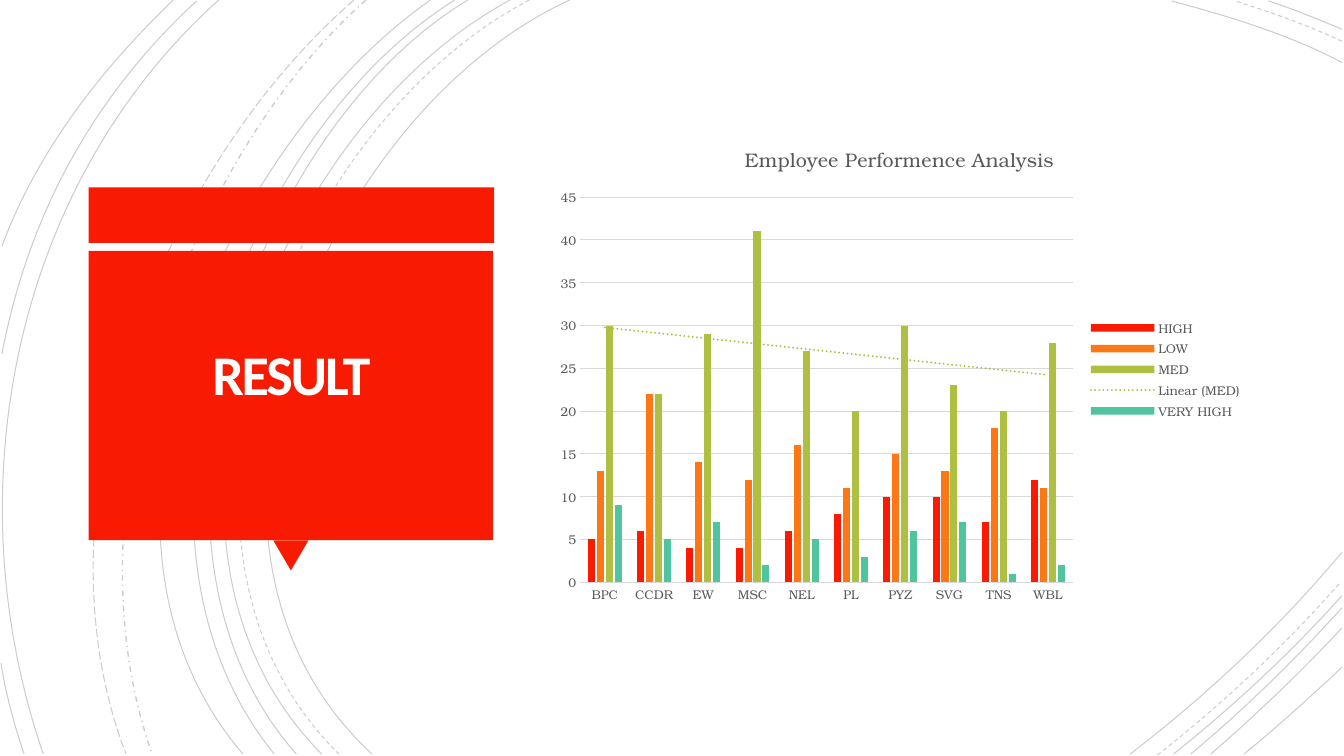
from dataclasses import dataclass

from lxml.etree import SubElement
from pptx import Presentation
from pptx.chart.data import CategoryChartData
from pptx.dml.color import RGBColor
from pptx.enum.chart import XL_CHART_TYPE, XL_LEGEND_POSITION, XL_TICK_MARK
from pptx.enum.dml import MSO_LINE
from pptx.enum.shapes import MSO_SHAPE
from pptx.enum.text import MSO_ANCHOR, MSO_AUTO_SIZE, PP_ALIGN
from pptx.oxml import parse_xml
from pptx.oxml.ns import nsdecls, qn
from pptx.util import Inches, Pt

COLORS = {
    "arc": "000000", "panel": "F81B02", "title": "FFFFFF",
    "text": "595959", "grid": "D9D9D9",
    "HIGH": "F81B02", "LOW": "FC7715", "MED": "AFBF41", "VERY HIGH": "50C49F",
}
CHART_FONT = "TeX Gyre Bonum"


@dataclass
class Arc:
    points: list[tuple[float, float]]
    dash: MSO_LINE = MSO_LINE.SOLID
    width: float = 0.75


@dataclass
class Block:
    kind: MSO_SHAPE
    left: float
    top: float
    width: float
    height: float
    rotation: int = 0


ARCS = [
    Arc([(5.65, 0), (3.15, 1.15), (1.43, 5.4), (3.69, 7.48)]),
    Arc([(13.31, 0.62), (12.78, 0.34), (12.18, 0.16), (11.62, 0.01)]),
    Arc([(11.21, 7.48), (11.97, 6.9), (12.69, 6.22), (13.31, 5.48)]),
    Arc([(5.25, 0), (2.85, 1.25), (1.23, 5.37), (3.36, 7.48)], MSO_LINE.DASH),
    Arc([(13.31, 0.41), (12.97, 0.25), (12.6, 0.12), (12.25, 0.01)], MSO_LINE.DASH),
    Arc([(11.48, 7.49), (12.13, 6.98), (12.75, 6.4), (13.3, 5.77)], MSO_LINE.DASH),
    Arc([(5.06, 0), (2.7, 1.27), (1.1, 5.37), (3.19, 7.48)]),
    Arc([(13.31, 0.29), (13.07, 0.19), (12.83, 0.09), (12.58, 0.01)]),
    Arc([(11.64, 7.48), (12.23, 7.01), (12.8, 6.48), (13.31, 5.91)]),
    Arc([(4.64, 0), (2.44, 1.33), (1.1, 5.41), (2.94, 7.48)]),
    Arc([(11.81, 7.48), (12.34, 7.04), (12.84, 6.55), (13.31, 6.03)]),
    Arc([(4.51, 0), (2.31, 1.38), (0.97, 5.33), (2.72, 7.48)]),
    Arc([(12.01, 7.48), (12.46, 7.09), (12.9, 6.67), (13.31, 6.23)]),
    Arc([(4.27, 0), (2.17, 1.47), (0.53, 5.29), (2.41, 7.48)]),
    Arc([(12.34, 7.48), (12.67, 7.21), (12.99, 6.92), (13.31, 6.62)]),
    Arc([(3.63, 0), (1.76, 1.66), (0.65, 5.09), (1.51, 7.48)], MSO_LINE.DASH_DOT, 1),
    Arc([(3.51, 0), (1.57, 1.69), (0.29, 4.99), (1.25, 7.48)], MSO_LINE.LONG_DASH),
    Arc([(2.17, 0), (0.11, 1.85), (-0.46, 4.9), (0.43, 7.48)]),
    Arc([(1.95, 0.01), (0.92, 0.96), (0.28, 2.14), (0.02, 3.51)]),
    Arc([(0.01, 6.58), (0.06, 6.89), (0.14, 7.19), (0.24, 7.48)]),
    Arc([(1.72, 0), (1, 0.69), (0.37, 1.5), (0.02, 2.44)]),
]
BLOCKS = [
    Block(MSO_SHAPE.RECTANGLE, 0.88, 1.86, 4.02, 0.55),
    Block(MSO_SHAPE.ISOSCELES_TRIANGLE, 2.71, 5.36, 0.35, 0.3, 180),
    Block(MSO_SHAPE.RECTANGLE, 0.88, 2.49, 4.01, 2.87),
]
CATEGORIES = ["BPC", "CCDR", "EW", "MSC", "NEL", "PL", "PYZ", "SVG", "TNS", "WBL"]
SERIES = {
    "HIGH": [5, 6, 4, 4, 6, 8, 10, 10, 7, 12],
    "LOW": [13, 22, 14, 12, 16, 11, 15, 13, 18, 11],
    "MED": [30, 22, 29, 41, 27, 20, 30, 23, 20, 28],
    "VERY HIGH": [9, 5, 7, 2, 5, 3, 6, 7, 1, 2],
}


def rgb(name: str) -> RGBColor:
    return RGBColor.from_string(COLORS[name])


def draw_arc(shapes, arc: Arc) -> None:
    start, *rest = [(Inches(x), Inches(y)) for x, y in arc.points]
    builder = shapes.build_freeform(*start)
    builder.add_line_segments(rest, close=False)
    sp = builder.convert_to_shape()
    sp.shadow.inherit = False
    sp.fill.background()
    sp.line.color.rgb = rgb("arc")
    sp.line.width = Pt(arc.width)
    sp.line.dash_style = arc.dash
    for color in sp.element.iter(qn("a:srgbClr")):
        SubElement(color, qn("a:alpha"), val="20000")
    segments = list(sp.element.iter(qn("a:lnTo")))
    curve = SubElement(segments[0].getparent(), qn("a:cubicBezTo"))
    for segment in segments:
        curve.append(segment[0])
        segment.getparent().remove(segment)


def draw_block(shapes, block: Block) -> None:
    sp = shapes.add_shape(block.kind, Inches(block.left), Inches(block.top),
                          Inches(block.width), Inches(block.height))
    sp.rotation = block.rotation
    sp.shadow.inherit = False
    sp.fill.solid()
    sp.fill.fore_color.rgb = rgb("panel")
    sp.line.fill.background()


def write_title(title) -> None:
    title.left, title.top = Inches(0.78), Inches(0.67)
    title.width, title.height = Inches(4.22), Inches(6.17)
    tf = title.text_frame
    tf.text = "RESULT"
    tf.word_wrap = True
    tf.auto_size = MSO_AUTO_SIZE.NONE
    tf.vertical_anchor = MSO_ANCHOR.MIDDLE
    tf.margin_left = tf.margin_right = tf.margin_top = tf.margin_bottom = Inches(0.25)
    p = tf.paragraphs[0]
    p.alignment = PP_ALIGN.CENTER
    p.line_spacing = 0.85
    r = p.runs[0]
    style_font(r.font, 40, "title", "Calibri")
    r.font.bold = True
    r.font.element.set("spc", "-150") if hasattr(r.font, "element") else r._r.get_or_add_rPr().set("spc", "-150")


def style_font(font, size: float, color: str = "text", name: str = CHART_FONT) -> None:
    font.name = name
    font.size = Pt(size)
    font.bold = False
    font.color.rgb = rgb(color)


def add_trend(series, color: str) -> None:
    trend = parse_xml(
        f'<c:trendline {nsdecls("c", "a")}><c:spPr><a:ln w="19050" cap="rnd">'
        f'<a:solidFill><a:srgbClr val="{COLORS[color]}"/></a:solidFill>'
        '<a:prstDash val="sysDot"/></a:ln></c:spPr><c:trendlineType val="linear"/>'
        '<c:dispRSqr val="0"/><c:dispEq val="0"/></c:trendline>')
    series._element.find(qn("c:cat")).addprevious(trend)


def draw_chart(shapes) -> None:
    data = CategoryChartData()
    data.categories = CATEGORIES
    for name, values in SERIES.items():
        data.add_series(name, values)
    chart = shapes.add_chart(XL_CHART_TYPE.COLUMN_CLUSTERED, Inches(5.42), Inches(1.25),
                             Inches(7), Inches(4.83), data).chart
    style_font(chart.font, 10)
    chart.has_title = True
    tf = chart.chart_title.text_frame
    tf.text = "Employee Performence Analysis"
    style_font(tf.paragraphs[0].runs[0].font, 14)
    chart.chart_title.include_in_layout = False
    chart.has_legend = True
    chart.legend.position = XL_LEGEND_POSITION.RIGHT
    chart.legend.include_in_layout = False
    style_font(chart.legend.font, 9)

    for axis in (chart.category_axis, chart.value_axis):
        axis.major_tick_mark = axis.minor_tick_mark = XL_TICK_MARK.NONE
        style_font(axis.tick_labels.font, 9)
    chart.value_axis.format.line.fill.background()
    for line in (chart.category_axis.format.line, chart.value_axis.major_gridlines.format.line):
        line.color.rgb = rgb("grid")
        line.width = Pt(0.75)
    chart.value_axis.minimum_scale, chart.value_axis.maximum_scale = 0, 45
    chart.value_axis.major_unit = 5

    plot = chart.plots[0]
    plot.gap_width, plot.overlap = 219, -27
    plot.vary_by_categories = False
    for series in plot.series:
        series.format.fill.solid()
        series.format.fill.fore_color.rgb = rgb(series.name)
        if series.name == "MED":
            add_trend(series, series.name)


def main() -> None:
    prs = Presentation()
    prs.slide_width, prs.slide_height = Inches(13.33), Inches(7.5)
    s = prs.slides.add_slide(prs.slide_layouts[5])
    arcs = s.shapes.add_group_shape()
    for arc in ARCS:
        draw_arc(arcs.shapes, arc)
    panel = s.shapes.add_group_shape()
    for block in BLOCKS:
        draw_block(panel.shapes, block)
    title = s.shapes.title
    write_title(title)
    panel.element.addnext(title.element)
    draw_chart(s.shapes)
    prs.save("out.pptx")


if __name__ == "__main__":
    main()
